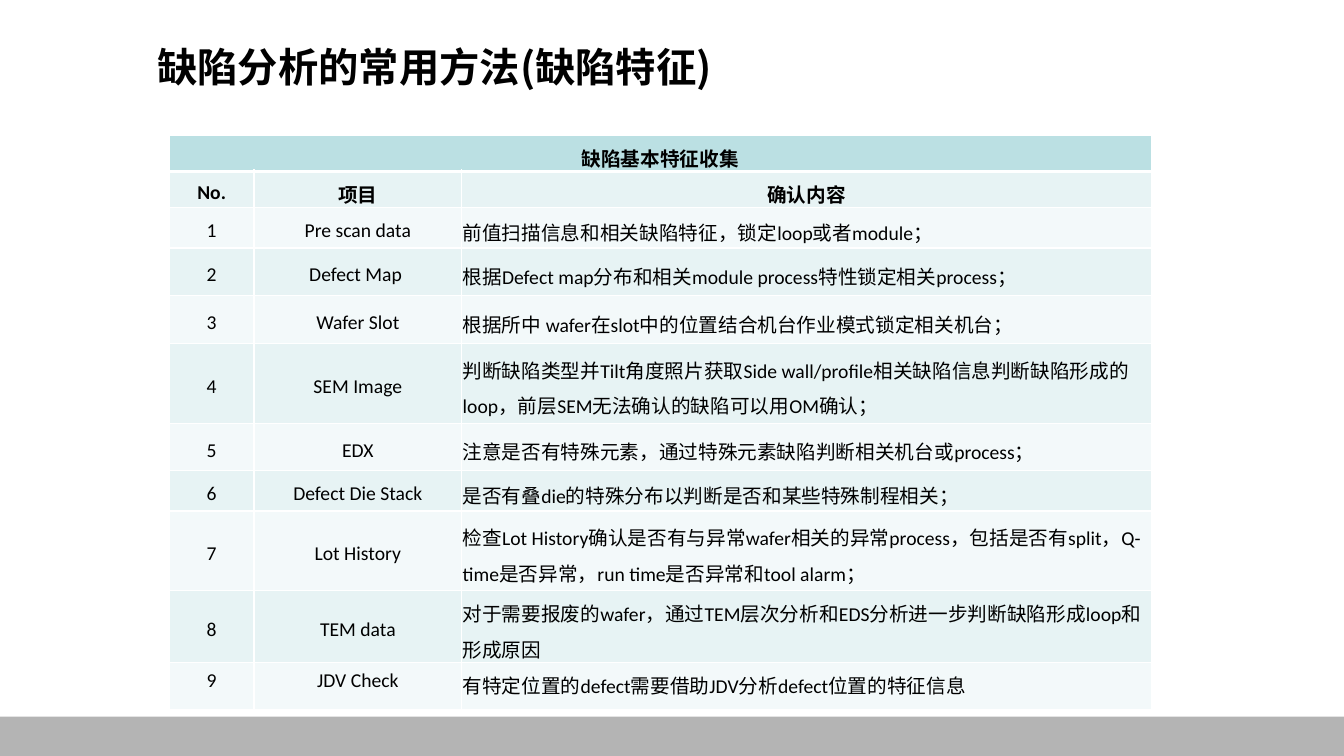
from lxml import etree
from pptx import Presentation
from pptx.dml.color import RGBColor
from pptx.enum.shapes import MSO_SHAPE
from pptx.enum.text import MSO_ANCHOR, PP_ALIGN
from pptx.oxml.ns import qn
from pptx.util import Pt

PX = 9144  # 100 px to the inch
RECT = MSO_SHAPE.RECTANGLE
TOP, MIDDLE = MSO_ANCHOR.TOP, MSO_ANCHOR.MIDDLE
LEFT, CENTER, JUSTIFY = PP_ALIGN.LEFT, PP_ALIGN.CENTER, PP_ALIGN.JUSTIFY
LATIN, CJK = "Calibri", "Noto Sans CJK SC"
BLACK, WHITE, GREY = "000000", "FFFFFF", "B4B4B4"
TEAL, LIGHT, PALE = "BBE0E3", "E7F3F4", "F3F9FA"

COLUMNS = [84, 206, 684]
ROW_HEIGHTS = [36, 36, 40, 47, 48, 79, 47, 40, 79, 71, 47]
HEADING = "缺陷基本特征收集"
LABELS = ("No.", "项目", "确认内容")
CHECKS = [
    ("Pre scan data", "前值扫描信息和相关缺陷特征，锁定loop或者module；"),
    ("Defect Map ", "根据Defect map分布和相关module process特性锁定相关process；"),
    ("Wafer Slot", "根据所中 wafer在slot中的位置结合机台作业模式锁定相关机台；"),
    ("SEM Image", "判断缺陷类型并Tilt角度照片获取Side wall/profile相关缺陷信息"
                  "判断缺陷形成的loop，前层SEM无法确认的缺陷可以用OM确认；"),
    ("EDX", "注意是否有特殊元素，通过特殊元素缺陷判断相关机台或process；"),
    ("Defect Die Stack", "是否有叠die的特殊分布以判断是否和某些特殊制程相关；"),
    ("Lot History", "检查Lot History确认是否有与异常wafer相关的异常process，"
                    "包括是否有split，Q-time是否异常，run time是否异常和tool alarm；"),
    ("TEM data", "对于需要报废的wafer，通过TEM层次分析和EDS分析进一步判断"
                 "缺陷形成loop和形成原因"),
    ("JDV Check", "有特定位置的defect需要借助JDV分析defect位置的特征信息"),
]


def px(*lengths):
    return [n * PX for n in lengths]


def rgb(color):
    return RGBColor.from_string(color)


def set_attrs(obj, values):
    for name, value in values.items():
        setattr(obj, name, value)


def write(tf, text, size, bold, font, align=LEFT, spacing=1.0):
    p = tf.paragraphs[0]
    set_attrs(p, {"alignment": align, "line_spacing": spacing})
    r = p.add_run()
    r.text = text
    set_attrs(r.font, {"size": Pt(size), "bold": bold, "name": font})
    r.font.color.rgb = rgb(BLACK)
    ea = etree.SubElement(r.font._element, qn("a:ea"))
    ea.set("typeface", CJK)


def add_footer_bar(s, x, y, w, h):
    sp = s.shapes.add_shape(RECT, *px(x, y, w, h))
    sp.shadow.inherit = False
    sp.fill.solid()
    sp.fill.fore_color.rgb = rgb(GREY)
    sp.line.fill.background()


def add_title(s, x, y, w, h):
    tf = s.shapes.add_textbox(*px(x, y, w, h)).text_frame
    set_attrs(tf, {"word_wrap": True, "vertical_anchor": MIDDLE})
    write(tf, "缺陷分析的常用方法(缺陷特征)", 28.8, True, CJK)


def add_borders(cell, **widths):
    """Draw white borders; widths gives points for the sides L, R, T and B."""
    tcPr = cell._tc.get_or_add_tcPr()
    for side in "LRTB":
        width = Pt(widths.get(side, 1))
        ln = etree.SubElement(tcPr, qn(f"a:ln{side}"), w=str(width))
        fill = etree.SubElement(ln, qn("a:solidFill"))
        etree.SubElement(fill, qn("a:srgbClr"), val=WHITE)


def add_check_table(s, x, y, w, h):
    rows = [(HEADING, "", ""), LABELS]
    rows += [(str(n), *check) for n, check in enumerate(CHECKS, 1)]
    table = s.shapes.add_table(len(rows), len(COLUMNS), *px(x, y, w, h)).table
    set_attrs(table, {"first_row": False, "horz_banding": False})
    for column, width in zip(table.columns, px(*COLUMNS)):
        column.width = width
    for row, height in zip(table.rows, px(*ROW_HEIGHTS)):
        row.height = height
    table.cell(0, 0).merge(table.cell(0, len(COLUMNS) - 1))

    last = len(rows) - 1
    thick_sides = {0: {"B": 3}, 1: {"T": 3}}
    inset = PX
    for i, texts in enumerate(rows):
        color = TEAL if i == 0 else LIGHT if i % 2 else PALE
        for j, text in enumerate(texts):
            cell = table.cell(i, j)
            add_borders(cell, **thick_sides.get(i, {}))
            cell.fill.solid()
            cell.fill.fore_color.rgb = rgb(color)
            set_attrs(cell, {
                "margin_left": inset, "margin_right": inset,
                "margin_top": inset, "margin_bottom": 0,
                "vertical_anchor": TOP if i == last else MIDDLE})
            if not text:
                continue
            align = CENTER
            if i > 1 and j == 2:
                align = JUSTIFY if i == last else LEFT
            write(cell.text_frame, text, 14, i < 2, LATIN, align, 1.25)


def main():
    prs = Presentation()
    prs.slide_width, prs.slide_height = px(1333, 750)
    s = prs.slides.add_slide(prs.slide_layouts[6])
    add_footer_bar(s, 0, 711, 1333, 39)
    add_title(s, 146, 30, 609, 71)
    add_check_table(s, 168, 134, sum(COLUMNS), sum(ROW_HEIGHTS))
    prs.save("out.pptx")


if __name__ == "__main__":
    main()
